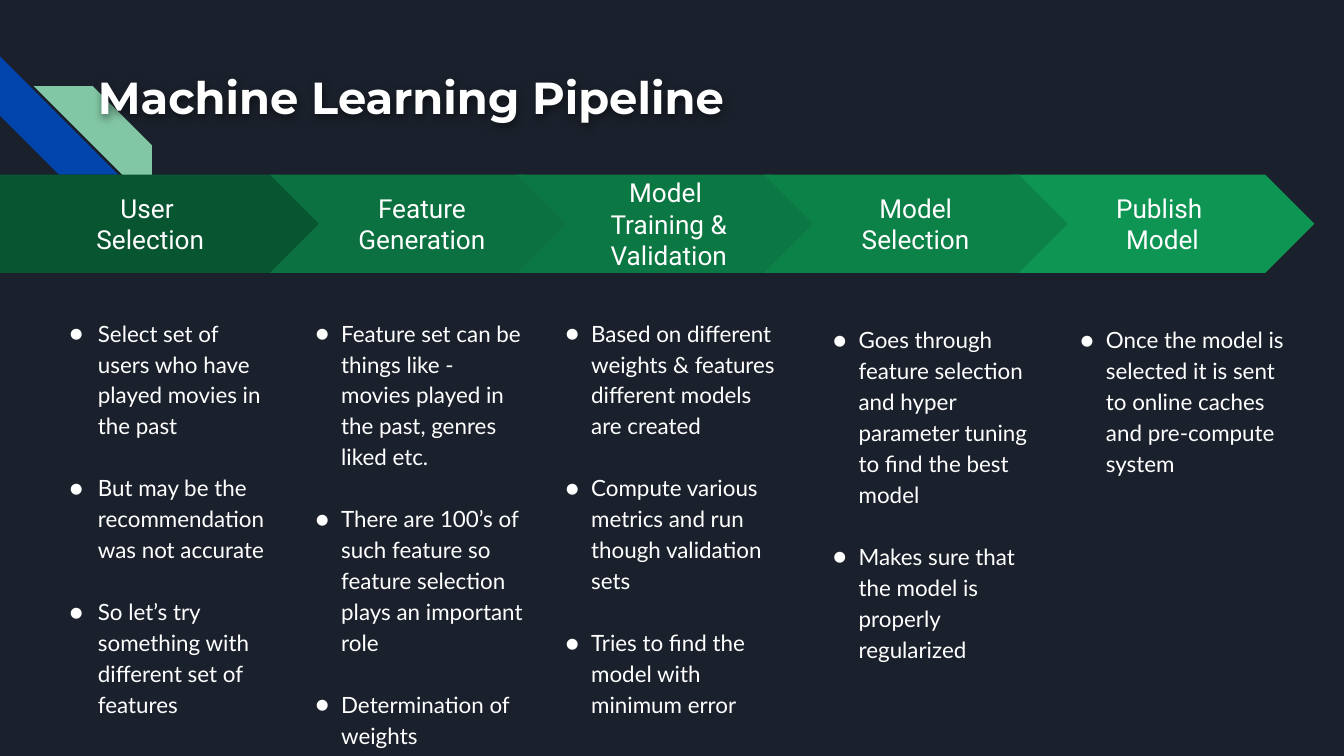
from pptx import Presentation
from pptx.dml.color import RGBColor
from pptx.enum.shapes import MSO_SHAPE as Shape
from pptx.enum.text import MSO_ANCHOR as Anchor, PP_ALIGN as Align
from pptx.oxml import parse_xml
from pptx.oxml.ns import nsdecls
from pptx.util import Inches, Pt

WHITE = "FFFFFF"
BAND_TOP, BAND_HEIGHT = 1.3, 0.73
FIRST_CHEVRON, LAST_CHEVRON = 2.01, 7.52
CHEVRON_PITCH = (LAST_CHEVRON - FIRST_CHEVRON) / 3
STAGES = [
    (["User ", "Selection"], "085631"),
    (["Feature Generation"], "0B7140"),
    (["Model ", "Training & Validation"], "0B7743"),
    (["Model Selection"], "0C8148"),
    (["Publish ", "Model"], "0E9453"),
]
DRAW_ORDER = [0, 1, 2, 4, 3]
COLUMNS = [
    (0.32, 2.25, 0.31, [
        "Select set of users who have played movies in the past",
        "But may be the recommendation was not accurate",
        "So let’s try something with different set of features"]),
    (2.25, 2.25, 0.19, [
        "Feature set can be things like - movies played in the past, genres liked etc.",
        "There are 100’s of such feature so feature selection plays an important role",
        "Determination of weights"]),
    (4.11, 2.25, 0.19, [
        "Based on different weights & features different models are created",
        "Compute various metrics and run though validation sets",
        "Tries to find the model with minimum error"]),
    (6.1, 2.3, 0.19, [
        "Goes through feature selection and hyper parameter tuning to find the best model",
        "Makes sure that the model is properly regularized"]),
    (7.94, 2.3, 0.19, [
        "Once the model is selected it is sent to online caches and pre-compute system"]),
]


def colour(value):
    return RGBColor.from_string(value)


def drawing_xml(markup):
    tag, rest = markup.split(" ", 1)
    return parse_xml(f"{tag} {nsdecls('a')} {rest}")


def add_bullet(para, margin):
    props = para._p.get_or_add_pPr()
    props.set("marL", str(Inches(margin)))
    props.set("indent", str(Inches(-0.21)))
    props.append(drawing_xml(f'<a:buClr ><a:srgbClr val="{WHITE}"/></a:buClr>'))
    props.append(drawing_xml('<a:buFont typeface="Lato"/>'))
    props.append(drawing_xml('<a:buChar char="●"/>'))


def write(frame, lines, size, font, bold=False, align=Align.LEFT,
          anchor=Anchor.TOP, spacing=None, gap=0, bullet_margin=None):
    frame.word_wrap = True
    frame.vertical_anchor = anchor
    frame.margin_left = frame.margin_right = Inches(0.1)
    frame.margin_top = frame.margin_bottom = Inches(0.1)
    for index, line in enumerate(lines):
        para = frame.add_paragraph() if index else frame.paragraphs[0]
        para.alignment = align
        if spacing:
            para.line_spacing = spacing
        if index and gap:
            para.space_before = Pt(gap)
        if bullet_margin is not None:
            add_bullet(para, bullet_margin)
        span = para.add_run()
        span.text = line
        span.font.size = Pt(size)
        span.font.name = font
        span.font.bold = bold
        span.font.color.rgb = colour(WHITE)


class PipelineSlide:
    """Holds the slide style and adds each kind of element to the page."""

    def __init__(self, deck, background):
        self.page = deck.slides.add_slide(deck.slide_layouts[6])
        self.page.background.fill.solid()
        self.page.background.fill.fore_color.rgb = colour(background)

    def shape(self, kind, left, top, width, height, fill):
        shape = self.page.shapes.add_shape(
            kind, Inches(left), Inches(top), Inches(width), Inches(height))
        shape.shadow.inherit = False
        shape.adjustments[0] = 0.5
        shape.fill.solid()
        shape.fill.fore_color.rgb = colour(fill)
        shape.line.fill.background()
        return shape

    def stripe(self, left, top, fill, rotation=0, flip=False):
        stripe = self.shape(Shape.DIAGONAL_STRIPE, left, top, 0.88, 0.88, fill)
        stripe.rotation = rotation
        if flip:
            stripe._element.spPr.xfrm.set("flipH", "1")

    def stage(self, index):
        lines, fill = STAGES[index]
        if index:
            kind, width = Shape.CHEVRON, 2.26
            left = FIRST_CHEVRON + (index - 1) * CHEVRON_PITCH
        else:
            kind, left, width = Shape.PENTAGON, 0, 2.42
        stage = self.shape(kind, left, BAND_TOP, width, BAND_HEIGHT, fill)
        write(stage.text_frame, lines, 14, "Roboto",
              align=Align.CENTER, anchor=Anchor.MIDDLE)

    def text(self, left, top, width, height, lines, **style):
        box = self.page.shapes.add_textbox(
            Inches(left), Inches(top), Inches(width), Inches(height))
        write(box.text_frame, lines, **style)
        return box

    def title(self, words):
        box = self.text(0.63, 0.42, 8.73, 0.81, [words],
                        size=24, font="Montserrat", bold=True)
        box._element.spPr.append(drawing_xml(
            '<a:effectLst ><a:outerShdw blurRad="57150" dist="19050" dir="5400000">'
            '<a:srgbClr val="000000"><a:alpha val="50000"/></a:srgbClr>'
            '</a:outerShdw></a:effectLst>'))

    def bullets(self, left, top, margin, lines):
        self.text(left, top, 1.78, 2.57, lines, size=12, font="Lato",
                  spacing=1.15, gap=16.6, bullet_margin=margin)


def main():
    deck = Presentation()
    deck.slide_width = Inches(10)
    deck.slide_height = deck.slide_width * 9 // 16
    slide = PipelineSlide(deck, "1B212C")
    slide.stripe(0, 0.42, "0145AC", rotation=270)
    slide.stripe(0.25, 0.64, "82C7A5", flip=True)
    for index in DRAW_ORDER:
        slide.stage(index)
    slide.title("Machine Learning Pipeline")
    for column in COLUMNS:
        slide.bullets(*column)
    deck.save("out.pptx")


if __name__ == "__main__":
    main()
